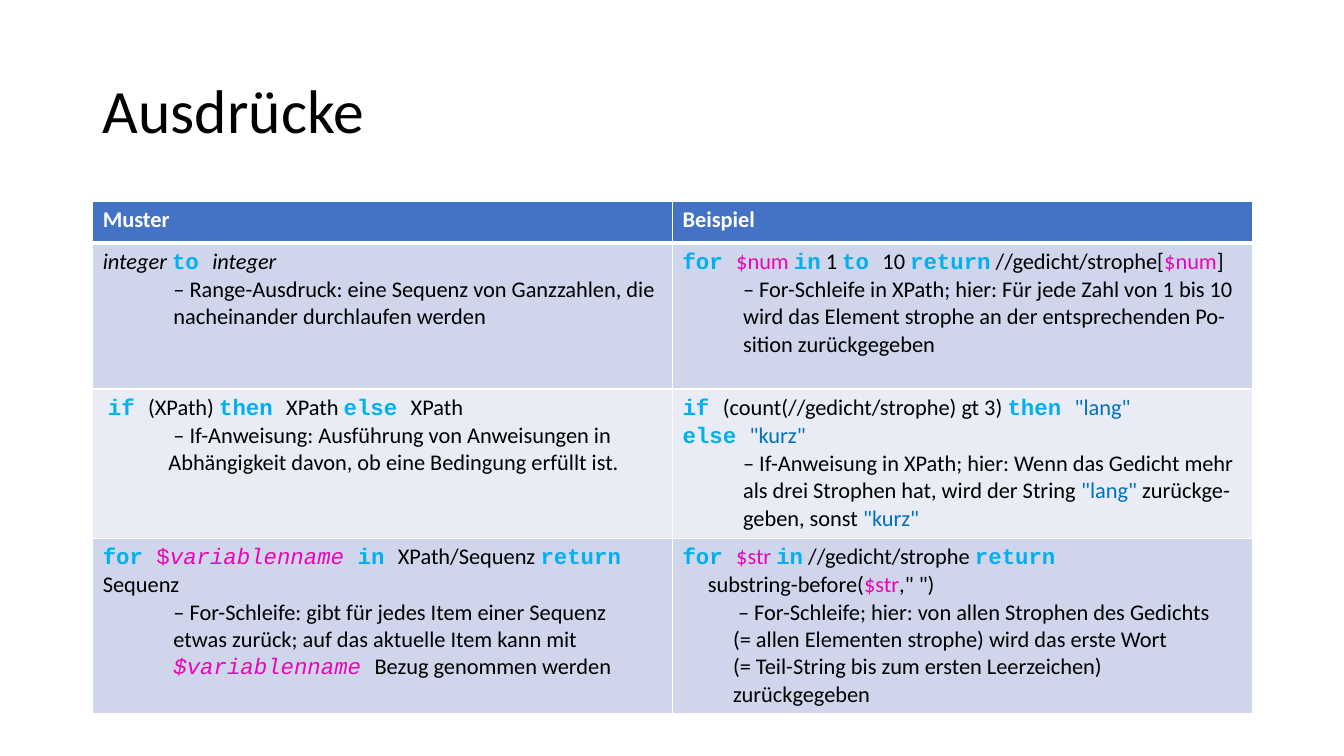
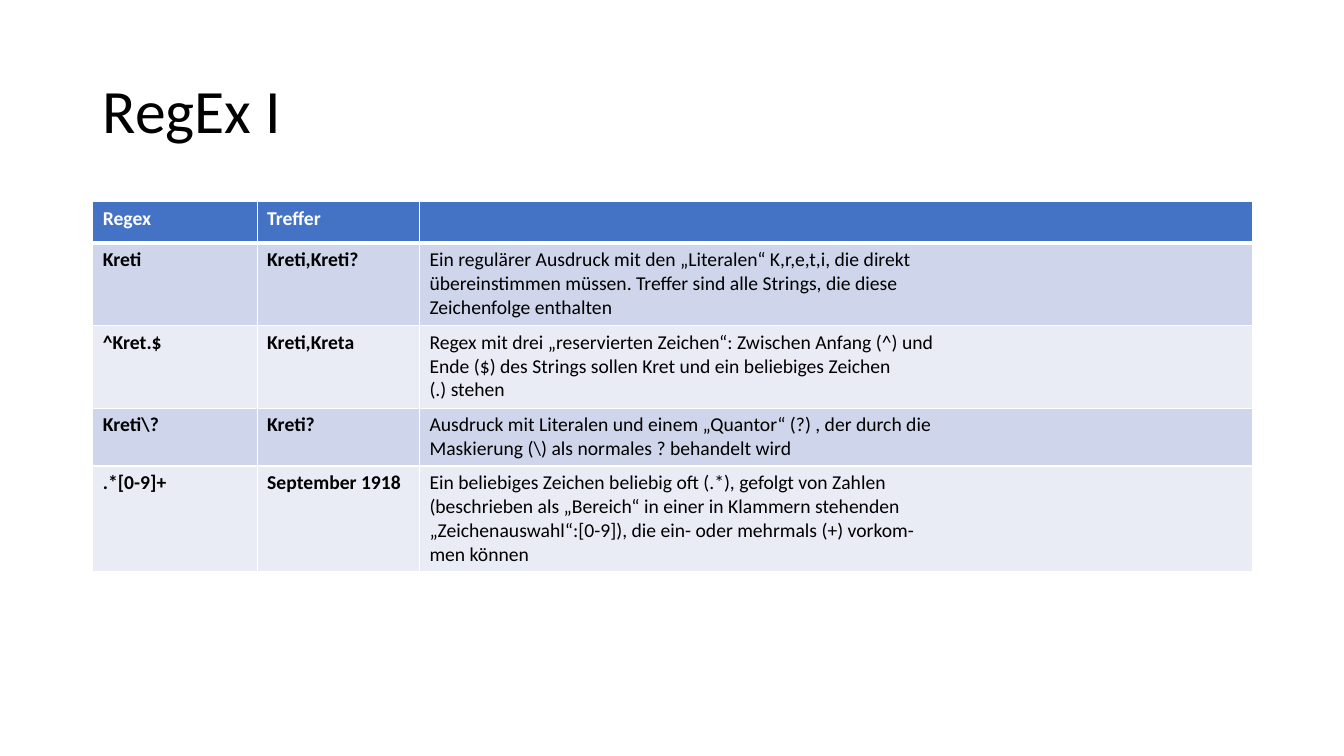
from lxml import etree
from pptx import Presentation
from pptx import util as u
from pptx.dml import color
from pptx.enum import text
from pptx.oxml import ns

TITLE_BOX = (0.92, 0.4, 11.5, 1.45)
TABLE_BOX = (0.92, 2, 11.5)
HEADER_HEIGHT = 0.41
HEADER_FILL, BAND_FILLS, RULE = "4472C4", ("CFD5EA", "E9EBF5"), "FFFFFF"

PLAIN = {"name": "Calibri", "bold": False, "italic": False, "color": "000000"}
STYLES = {
    "title": {**PLAIN, "size": u.Pt(44)},
    "head": {**PLAIN, "bold": True, "color": "FFFFFF"},
    "plain": PLAIN,
    "strong": {**PLAIN, "bold": True},
    "italic": {**PLAIN, "italic": True},
    "key": {**PLAIN, "name": "Courier New", "bold": True, "color": "00B0F0"},
    "var": {**PLAIN, "color": "EB05BA"},
    "dollar": {**PLAIN, "name": "Courier New", "color": "EB05BA"},
    "name": {**PLAIN, "name": "Courier New", "italic": True, "color": "EB05BA"},
    "string": {**PLAIN, "color": "0070C0"},
}


def rgb(value):
    """Turn a hex string into a colour."""
    return color.RGBColor.from_string(value)


def style_font(font, style, **extra):
    """Apply a named style to a font."""
    for key, value in {**STYLES[style], **extra}.items():
        if key == "color":
            font.color.rgb = rgb(value)
        else:
            setattr(font, key, value)


def write_paragraph(paragraph, pieces, indent, size):
    """Write (style, wording) pieces, with a line break at each newline."""
    properties = paragraph._p.get_or_add_pPr()
    properties.set("marL", str(u.Inches(indent)))
    properties.set("indent", "0")
    for style, wording in pieces:
        for number, line in enumerate(wording.split("\n")):
            if number:
                paragraph.add_line_break()
            if line:
                run = paragraph.add_run()
                run.text = line
                style_font(run.font, style, size=u.Pt(size))


def draw_borders(cell, widths):
    """Draw the cell's borders; widths maps a side to its points."""
    properties = cell._tc.get_or_add_tcPr()
    for side in "LRTB":
        line = etree.SubElement(properties, ns.qn("a:ln" + side),
                                w=str(u.Pt(widths.get(side, 1))))
        fill = etree.SubElement(line, ns.qn("a:solidFill"))
        etree.SubElement(fill, ns.qn("a:srgbClr"), val=RULE)


def fill_cell(cell, row, paragraphs, size):
    """Fill one cell with (indent, pieces) paragraphs and its band colour."""
    draw_borders(cell, {0: {"B": 3}, 1: {"T": 3}}.get(row, {}))
    cell.fill.solid()
    cell.fill.fore_color.rgb = rgb(BAND_FILLS[(row - 1) % 2] if row else HEADER_FILL)
    frame = cell.text_frame
    for number, (indent, pieces) in enumerate(paragraphs):
        paragraph = frame.add_paragraph() if number else frame.paragraphs[0]
        write_paragraph(paragraph, pieces, indent, size)


def add_title(slide, box, wording):
    """Place the title placeholder in its box."""
    title = slide.shapes.title
    title.left, title.top, title.width, title.height = map(u.Inches, box)
    frame = title.text_frame
    frame.auto_size = text.MSO_AUTO_SIZE.NONE
    frame.vertical_anchor = text.MSO_ANCHOR.MIDDLE
    paragraph = frame.paragraphs[0]
    paragraph.alignment = text.PP_ALIGN.LEFT
    paragraph.line_spacing = 0.9
    run = paragraph.add_run()
    run.text = wording
    style_font(run.font, "title")


def add_grid(slide, box, widths, heights, rows, size):
    """Add a table whose rows hold cells of (indent, pieces) paragraphs."""
    left, top, width = box
    table = slide.shapes.add_table(
        len(rows), len(widths), u.Inches(left), u.Inches(top),
        u.Inches(width), u.Inches(sum(heights))).table
    table.horz_banding = False
    for column, column_width in zip(table.columns, widths):
        column.width = u.Inches(column_width)
    for table_row, height in zip(table.rows, heights):
        table_row.height = u.Inches(height)
    for r, cells in enumerate(rows):
        for c, paragraphs in enumerate(cells):
            fill_cell(table.cell(r, c), r, paragraphs, size)


def single(style, wording):
    """Give a cell that holds one paragraph in one style."""
    return [(0, [(style, wording)])] if wording else []


def table_slide(deck, title, widths, heights, headings, rows, size):
    """Add a slide with a title above a banded table."""
    slide = deck.slides.add_slide(deck.slide_layouts[5])
    add_title(slide, TITLE_BOX, title)
    header = [single("head", heading) for heading in headings]
    add_grid(slide, TABLE_BOX, widths, [HEADER_HEIGHT, *heights],
             [header, *rows], size)


RANGE = [
    [(0, [("italic", "integer "), ("key", "to "), ("italic", "integer")]),
     (0.7, [("plain", "– Range-Ausdruck: eine Sequenz von Ganzzahlen, die\n"
                      "nacheinander durchlaufen werden")])],
    [(0, [("key", "for "), ("var", "$num "), ("key", "in"), ("plain", " 1 "),
          ("key", "to "), ("plain", "10 "), ("key", "return"),
          ("plain", " //gedicht/strophe["), ("var", "$num"), ("plain", "]")]),
     (0.6, [("plain", "– For-Schleife in XPath; hier: Für jede Zahl von 1 bis 10\n"
                      "wird das Element strophe an der entsprechenden Po-\n"
                      "sition zurückgegeben")])],
]
CONDITION = [
    [(0.05, [("key", "if "), ("plain", "(XPath) "), ("key", "then "),
             ("plain", "XPath "), ("key", "else "), ("plain", "XPath")]),
     (0.7, [("plain", "– If-Anweisung: Ausführung von Anweisungen in")]),
     (0.65, [("plain", "Abhängigkeit davon, ob eine Bedingung erfüllt ist.")])],
    [(0, [("key", "if "), ("plain", "(count(//gedicht/strophe) gt 3) "),
          ("key", "then "), ("string", '"lang"\n'),
          ("key", "else "), ("string", '"kurz"')]),
     (0.6, [("plain", "– If-Anweisung in XPath; hier: Wenn das Gedicht mehr\n"
                      "als drei Strophen hat, wird der String "),
            ("string", '"lang" '), ("plain", "zurückge-\ngeben, sonst "),
            ("string", '"kurz"')])],
]
LOOP = [
    [(0, [("key", "for "), ("dollar", "$"), ("name", "variablenname "),
          ("key", "in "), ("plain", "XPath/Sequenz "), ("key", "return"),
          ("plain", " Sequenz")]),
     (0.7, [("plain", "– For-Schleife: gibt für jedes Item einer Sequenz\n"
                      "etwas zurück; auf das aktuelle Item kann mit\n"),
            ("name", "$variablenname "), ("plain", "Bezug genommen werden")])],
    [(0, [("key", "for "), ("var", "$str "), ("key", "in"),
          ("plain", " //gedicht/strophe "), ("key", "return")]),
     (0.25, [("plain", "substring-before("), ("var", "$str"), ("plain", ',\" ")')]),
     (0.55, [("plain", "– For-Schleife; hier: von allen Strophen des Gedichts")]),
     (0.5, [("plain", "(= allen Elementen strophe) wird das erste Wort\n"
                      "(= Teil-String bis zum ersten Leerzeichen)\n"
                      "zurückgegeben")])],
]
PATTERNS = [
    ("Kreti", "Kreti,Kreti?",
     "Ein regulärer Ausdruck mit den „Literalen“ K,r,e,t,i, die direkt\n"
     "übereinstimmen müssen. Treffer sind alle Strings, die diese\n"
     "Zeichenfolge enthalten"),
    ("^Kret.$", "Kreti,Kreta",
     "Regex mit drei „reservierten Zeichen“: Zwischen Anfang (^) und\n"
     "Ende ($) des Strings sollen Kret und ein beliebiges Zeichen\n"
     "(.) stehen"),
    ("Kreti\\?", "Kreti?",
     "Ausdruck mit Literalen und einem „Quantor“ (?) , der durch die\n"
     "Maskierung (\\) als normales ? behandelt wird"),
    (".*[0-9]+", "September 1918",
     "Ein beliebiges Zeichen beliebig oft (.*), gefolgt von Zahlen\n"
     "(beschrieben als „Bereich“ in einer in Klammern stehenden\n"
     "„Zeichenauswahl“:[0-9]), die ein- oder mehrmals (+) vorkom-\n"
     "men können"),
]


def main():
    """Build both slides and save the deck."""
    deck = Presentation()
    deck.slide_width, deck.slide_height = u.Inches(13.33), u.Inches(7.5)
    table_slide(deck, "Ausdrücke", [5.75, 5.75], [1.45, 1.48, 1.74],
                ["Muster", "Beispiel"], [RANGE, CONDITION, LOOP], 16)
    pattern_rows = [[single("strong", regex), single("strong", match),
                     single("plain", meaning)]
                    for regex, match, meaning in PATTERNS]
    table_slide(deck, "RegEx I", [1.63, 1.61, 8.26], [0.82, 0.82, 0.57, 1.04],
                ["Regex", "Treffer", ""], pattern_rows, 14)
    deck.save("out.pptx")


main()
